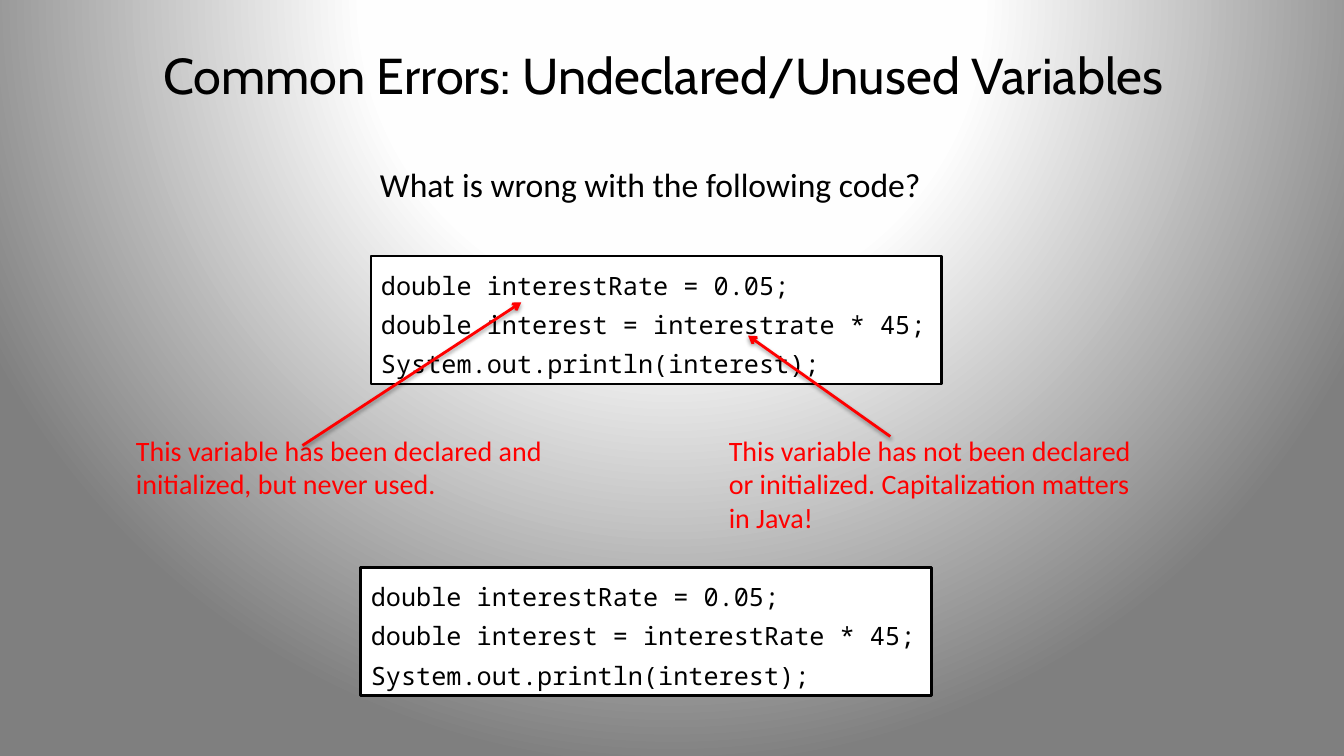
from dataclasses import dataclass

from lxml.etree import SubElement
from pptx import Presentation
from pptx.dml.color import RGBColor
from pptx.enum.shapes import MSO_CONNECTOR, MSO_SHAPE
from pptx.enum.text import MSO_ANCHOR, MSO_AUTO_SIZE, PP_ALIGN
from pptx.oxml import parse_xml
from pptx.oxml.ns import nsdecls, qn
from pptx.slide import Slide
from pptx.text.text import TextFrame
from pptx.util import Inches, Pt

BLACK = RGBColor(0x00, 0x00, 0x00)
WHITE = RGBColor(0xFF, 0xFF, 0xFF)
RED = RGBColor(0xFF, 0x00, 0x00)

BACKGROUND = f"""
<p:bg {nsdecls("p", "a")}><p:bgPr>
  <a:gradFill rotWithShape="1">
    <a:gsLst>
      <a:gs pos="0"><a:srgbClr val="FFFFFF"/></a:gs>
      <a:gs pos="40000"><a:srgbClr val="FEFEFE"/></a:gs>
      <a:gs pos="100000"><a:srgbClr val="7F7F7F"/></a:gs>
    </a:gsLst>
    <a:path path="circle">
      <a:fillToRect l="50000" t="-80000" r="50000" b="180000"/>
    </a:path>
  </a:gradFill>
  <a:effectLst/>
</p:bgPr></p:bg>"""

ARROW_SHADOW = f"""
<a:effectLst {nsdecls("a")}>
  <a:outerShdw blurRad="{Pt(3.1)}" dist="{Pt(1.6)}" dir="5400000" rotWithShape="0">
    <a:srgbClr val="000000"><a:alpha val="38000"/></a:srgbClr>
  </a:outerShdw>
</a:effectLst>"""


@dataclass
class CodeBox:
    left: float
    top: float
    variable: str


@dataclass
class Label:
    left: float
    top: float
    width: float
    height: float
    text: str
    size: int = 20
    color: RGBColor = RED


@dataclass
class Arrow:
    start: tuple[float, float]
    end: tuple[float, float]


CODE_BOXES = [CodeBox(3.68, 2.54, "interestrate"), CodeBox(3.58, 5.63, "interestRate")]
LABELS = [
    Label(3.67, 1.58, 5.64, 0.5, "What is wrong with the following code?", 24, BLACK),
    Label(7.13, 4.25, 4.23, 1.11, "This variable has not been declared\n"
          "or initialized. Capitalization matters\nin Java!"),
    Label(1.25, 4.25, 4.27, 0.77, "This variable has been declared and\n"
          "initialized, but never used."),
]
ARROWS = [Arrow((8.83, 4.33), (7.42, 3.33)), Arrow((3, 4.42), (5.17, 3))]


def write_lines(frame: TextFrame, lines: list[str], font_name: str, size: int,
                color: RGBColor, spacing: float = 1.0) -> None:
    frame.word_wrap = False
    frame.auto_size = MSO_AUTO_SIZE.SHAPE_TO_FIT_TEXT
    frame.vertical_anchor = MSO_ANCHOR.TOP
    for index, line in enumerate(lines):
        para = frame.add_paragraph() if index else frame.paragraphs[0]
        para.text = line
        para.alignment = PP_ALIGN.LEFT
        para.line_spacing = spacing
        para.font.name = font_name
        para.font.size = Pt(size)
        para.font.color.rgb = color


def add_title(page: Slide, text: str) -> None:
    title = page.shapes.title
    title.left, title.top = Inches(0.58), Inches(0.3)
    title.width, title.height = Inches(12), Inches(0.87)
    title.text_frame.vertical_anchor = MSO_ANCHOR.MIDDLE
    para = title.text_frame.paragraphs[0]
    para.text = text
    para.alignment = PP_ALIGN.CENTER
    para.font.name = "Cabin"
    para.font.size = Pt(36)
    para.font.color.rgb = BLACK


def add_code_box(page: Slide, code: CodeBox) -> None:
    box = page.shapes.add_shape(MSO_SHAPE.RECTANGLE, Inches(code.left), Inches(code.top),
                                Inches(5.66), Inches(1.27))
    box.shadow.inherit = False
    box.fill.solid()
    box.fill.fore_color.rgb = WHITE
    box.line.color.rgb = BLACK
    box.line.width = Pt(2)
    lines = ["double interestRate = 0.05;",
             f"double interest = {code.variable} * 45;",
             "System.out.println(interest);"]
    write_lines(box.text_frame, lines, "Noto Sans Mono", 18, BLACK, 1.3)


def add_label(page: Slide, label: Label) -> None:
    box = page.shapes.add_textbox(Inches(label.left), Inches(label.top),
                                  Inches(label.width), Inches(label.height))
    # Line breaks stay inside one paragraph
    write_lines(box.text_frame, [label.text.replace("\n", "\v")], "Calibri",
                label.size, label.color)


def add_arrow(page: Slide, arrow: Arrow) -> None:
    ends = [Inches(value) for value in arrow.start + arrow.end]
    connector = page.shapes.add_connector(MSO_CONNECTOR.STRAIGHT, *ends)
    connector.line.color.rgb = RED
    connector.line.width = Pt(2)
    properties = connector.element.spPr
    SubElement(properties.find(qn("a:ln")), qn("a:tailEnd"), type="arrow")
    properties.append(parse_xml(ARROW_SHADOW))


def main() -> None:
    deck = Presentation()
    deck.slide_width, deck.slide_height = Inches(13.33), Inches(7.5)
    page = deck.slides.add_slide(deck.slide_layouts.get_by_name("Title Only"))
    page.element.cSld.insert(0, parse_xml(BACKGROUND))

    # Title and code
    add_title(page, "Common Errors: Undeclared/Unused Variables")
    for code in CODE_BOXES:
        add_code_box(page, code)

    # Question, explanations and their arrows
    for label in LABELS:
        add_label(page, label)
    for arrow in ARROWS:
        add_arrow(page, arrow)

    deck.save("out.pptx")


if __name__ == "__main__":
    main()
